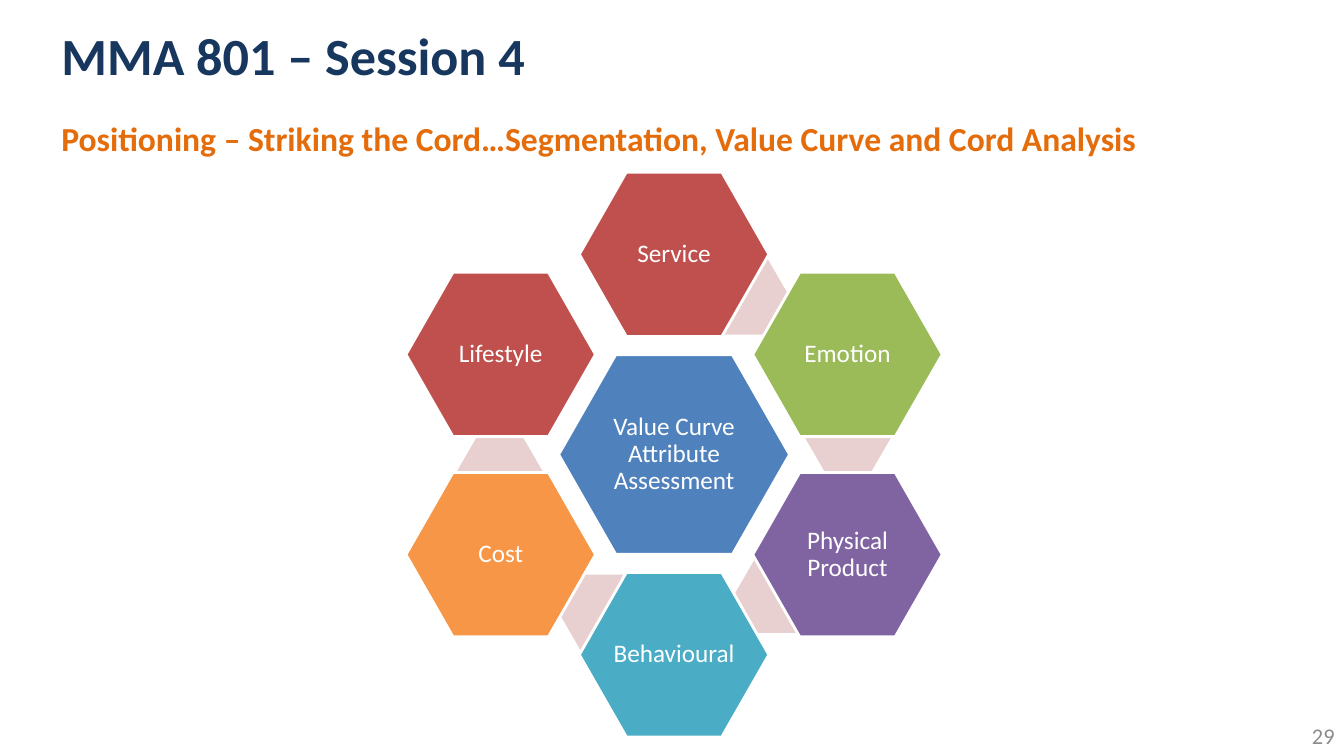
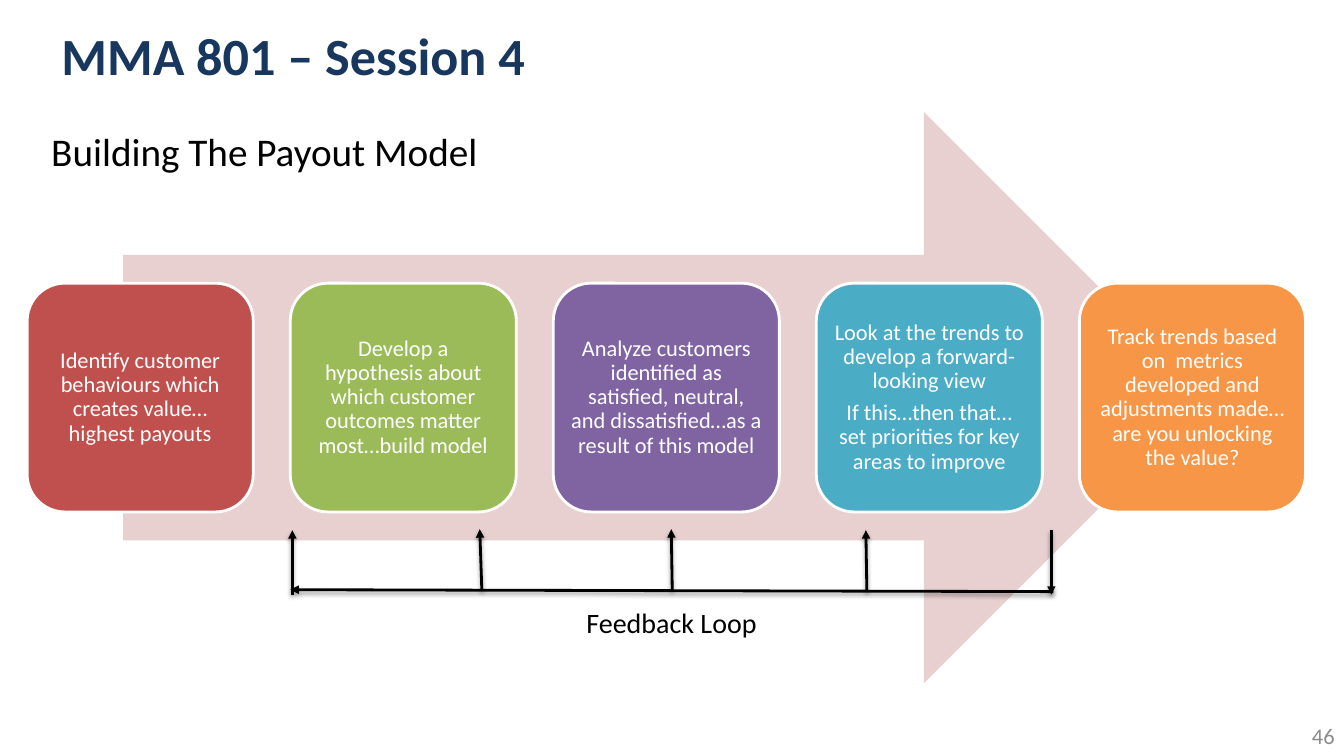
from math import cos, radians, sin

from lxml.etree import SubElement
from pptx import Presentation
from pptx.dml.color import RGBColor
from pptx.enum.shapes import MSO_CONNECTOR, MSO_SHAPE
from pptx.enum.text import MSO_ANCHOR, MSO_AUTO_SIZE, PP_ALIGN
from pptx.oxml.ns import qn
from pptx.util import Pt

FONT = "Calibri"
COLOURS = {
    "navy": "17375E",
    "heading": "E46C0A",
    "grey": "8C8C8C",
    "black": "000000",
    "white": "FFFFFF",
    "pale": "E8D0D0",
    "blue": "4F81BD",
    "red": "C0504D",
    "green": "9BBB59",
    "purple": "8064A2",
    "teal": "4BACC6",
    "orange": "F79646",
}
TITLE = "MMA 801 – Session 4"
TITLE_ONLY_LAYOUT = 5

WHEEL_CENTRE = (481.5, 324.7)
WHEEL_RADIUS = 143
CORE_SIZE = (165, 142.6)
PETAL_SIZE = (135.4, 117.4)
ACCENT_SIZE = (62, 54)
CORE_LABEL = "Value Curve Attribute Assessment"
# Clockwise from the top: label, colour, offset of the accent from the wheel's centre
PETALS = [
    ("Service", "red", (51.5, -112.7)),
    ("Emotion", "green", (124.2, -12.6)),
    ("Physical Product", "purple", (73.8, 100.4)),
    ("Behavioural", "teal", (-51.5, 112.7)),
    ("Cost", "orange", (-124.5, 12.6)),
    ("Lifestyle", "red", None),
]

STEP_LEFT, STEP_TOP, STEP_PITCH = 19.4, 202.3, 187.9
STEP_SIZE = (161.5, 163.4)
STEPS = [
    ("red", ["Identify customer behaviours which creates value…highest payouts"]),
    ("green", ["Develop a hypothesis about which customer outcomes matter "
               "most…build model"]),
    ("purple", ["Analyze customers identified as satisfied, neutral, and "
                "dissatisfied…as a result of this model"]),
    ("teal", ["Look at the trends to develop a forward-looking view",
              "If this…then that…set priorities for key areas to improve"]),
    ("orange", ["Track trends based on  metrics developed and adjustments "
                "made…are you unlocking the value?"]),
]
FEEDBACK_ARROWS = [
    ((751, 378.7), (751, 424.8)),
    ((752.4, 422.6), (207.4, 421.2)),
    ((208.8, 424.8), (208.8, 378.7)),
    ((619.2, 422.6), (618.5, 378.7)),
    ((480.2, 421.9), (479.5, 378)),
    ((344.2, 421.9), (342.7, 378)),
]


def colour(name):
    return RGBColor.from_string(COLOURS[name])


def style_paragraph(para, size, colour_name, bold=False, align=PP_ALIGN.LEFT):
    para.alignment = align
    para.font.name = FONT
    para.font.size = Pt(size)
    para.font.bold = bold
    para.font.color.rgb = colour(colour_name)


def start_page(deck, number):
    """Add a slide with the shared title and page number."""
    page = deck.slides.add_slide(deck.slide_layouts[TITLE_ONLY_LAYOUT])
    title = page.shapes.title
    title.left, title.top, title.width, title.height = map(Pt, (36.7, 5, 787.7, 67.7))
    frame = title.text_frame
    frame.text = TITLE
    frame.auto_size = MSO_AUTO_SIZE.NONE
    frame.vertical_anchor = MSO_ANCHOR.MIDDLE
    style_paragraph(frame.paragraphs[0], 37.3, "navy", bold=True)
    add_text(page, (843, 511.2, 117.4, 28.8), number, 16, "grey",
             anchor=MSO_ANCHOR.MIDDLE, align=PP_ALIGN.RIGHT)
    return page


def add_text(page, bounds, text, size, colour_name, anchor=MSO_ANCHOR.TOP, **style):
    box = page.shapes.add_textbox(*map(Pt, bounds))
    frame = box.text_frame
    frame.word_wrap = True
    frame.vertical_anchor = anchor
    frame.text = text
    style_paragraph(frame.paragraphs[0], size, colour_name, **style)


def add_block(page, kind, bounds, fill, outlined=True):
    block = page.shapes.add_shape(kind, *map(Pt, bounds))
    block.shadow.inherit = False
    block.fill.solid()
    block.fill.fore_color.rgb = colour(fill)
    if outlined:
        block.line.color.rgb = colour("white")
        block.line.width = Pt(2)
    else:
        block.line.fill.background()
    return block


def add_label(block, texts, size, margin):
    """Centre white paragraphs inside a block."""
    frame = block.text_frame
    frame.word_wrap = True
    frame.vertical_anchor = MSO_ANCHOR.MIDDLE
    frame.margin_left = frame.margin_right = Pt(margin)
    frame.margin_top = frame.margin_bottom = Pt(margin)
    for index, text in enumerate(texts):
        para = frame.add_paragraph() if index else frame.paragraphs[0]
        para.text = text
        para.line_spacing = 0.9
        if index:
            para.space_before = Pt(0.35 * size)
        style_paragraph(para, size, "white", align=PP_ALIGN.CENTER)


def add_hexagon(page, offset, size, fill, label=None):
    """Place a hexagon by the offset of its middle from the wheel's centre."""
    left, top = (centre + shift - length / 2
                 for centre, shift, length in zip(WHEEL_CENTRE, offset, size))
    hexagon = add_block(page, MSO_SHAPE.HEXAGON, (left, top, *size), fill,
                        outlined=label is not None)
    hexagon.adjustments[0] = 0.286 if label else 0.289
    if label:
        add_label(hexagon, [label], 18, 2)


def add_arrow(page, start, end):
    """Draw a black arrow with a soft shadow below it."""
    arrow = page.shapes.add_connector(MSO_CONNECTOR.STRAIGHT, *map(Pt, start + end))
    arrow.line.color.rgb = colour("black")
    arrow.line.width = Pt(2)
    SubElement(arrow.line._get_or_add_ln(), qn("a:tailEnd"), type="triangle")
    effects = SubElement(arrow._element.spPr, qn("a:effectLst"))
    shadow = SubElement(effects, qn("a:outerShdw"), blurRad=str(Pt(3.1)),
                        dist=str(Pt(1.6)), dir="5400000", rotWithShape="0")
    tint = SubElement(shadow, qn("a:srgbClr"), val=COLOURS["black"])
    SubElement(tint, qn("a:alpha"), val="38000")


def build_value_curve(deck):
    page = start_page(deck, "29")
    add_text(page, (36.7, 72.7, 883.4, 51.1),
             "Positioning – Striking the Cord…Segmentation, Value Curve and Cord Analysis",
             24, "heading", anchor=MSO_ANCHOR.MIDDLE, bold=True)
    add_hexagon(page, (0, 0), CORE_SIZE, "blue", CORE_LABEL)
    for index, (label, fill, accent) in enumerate(PETALS):
        if accent:
            add_hexagon(page, accent, ACCENT_SIZE, "pale")
        angle = radians(index * 360 / len(PETALS))
        offset = (WHEEL_RADIUS * sin(angle), -WHEEL_RADIUS * cos(angle))
        add_hexagon(page, offset, PETAL_SIZE, fill, label)


def build_payout_model(deck):
    page = start_page(deck, "46")
    add_block(page, MSO_SHAPE.RIGHT_ARROW, (88, 80, 776, 408), "pale", outlined=False)
    for index, (fill, texts) in enumerate(STEPS):
        left = STEP_LEFT + index * STEP_PITCH
        step = add_block(page, MSO_SHAPE.ROUNDED_RECTANGLE,
                         (left, STEP_TOP, *STEP_SIZE), fill)
        add_label(step, texts, 16, 4.8)
    add_text(page, (29.5, 87.1, 324.7, 41), "Building The Payout Model", 28, "black")
    for start, end in FEEDBACK_ARROWS:
        add_arrow(page, start, end)
    add_text(page, (411.8, 429.1, 139, 31.7), "Feedback Loop", 20, "black")


def main():
    deck = Presentation()
    deck.slide_width, deck.slide_height = Pt(960), Pt(540)
    build_value_curve(deck)
    build_payout_model(deck)
    deck.save("out.pptx")


if __name__ == "__main__":
    main()
